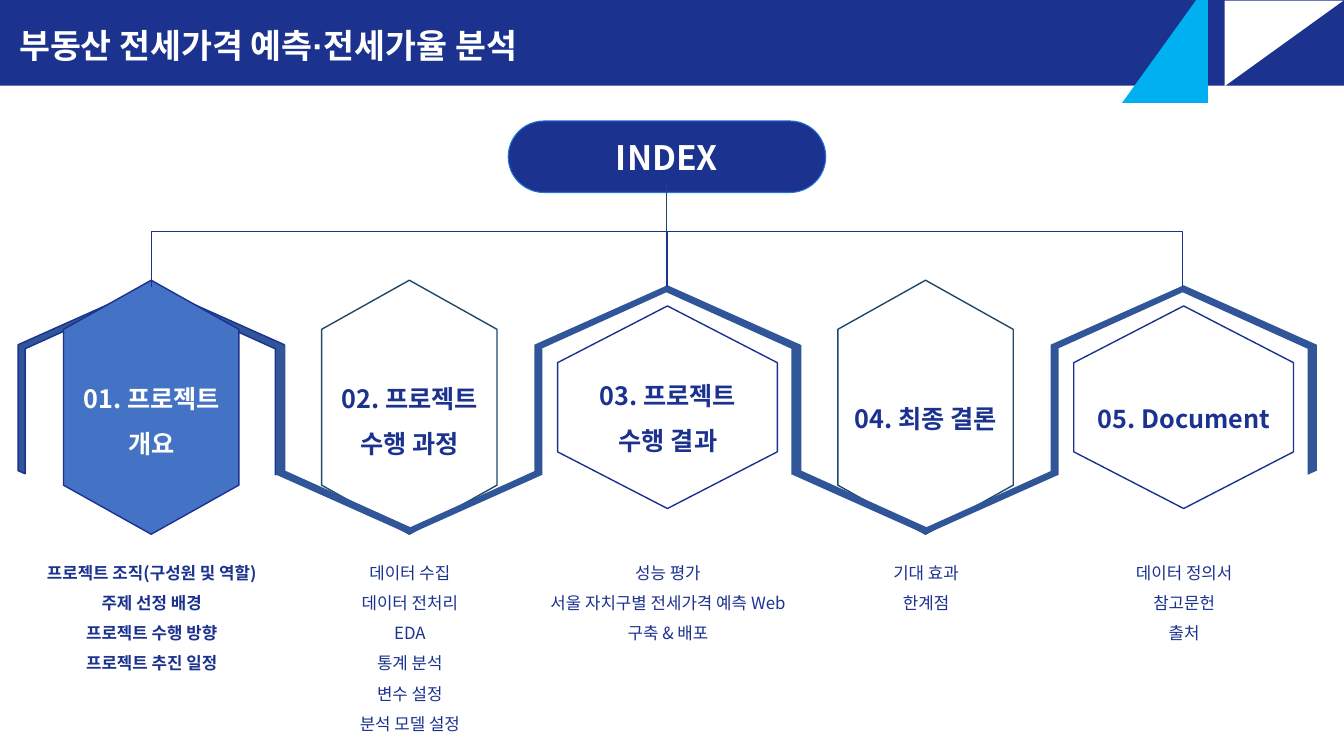
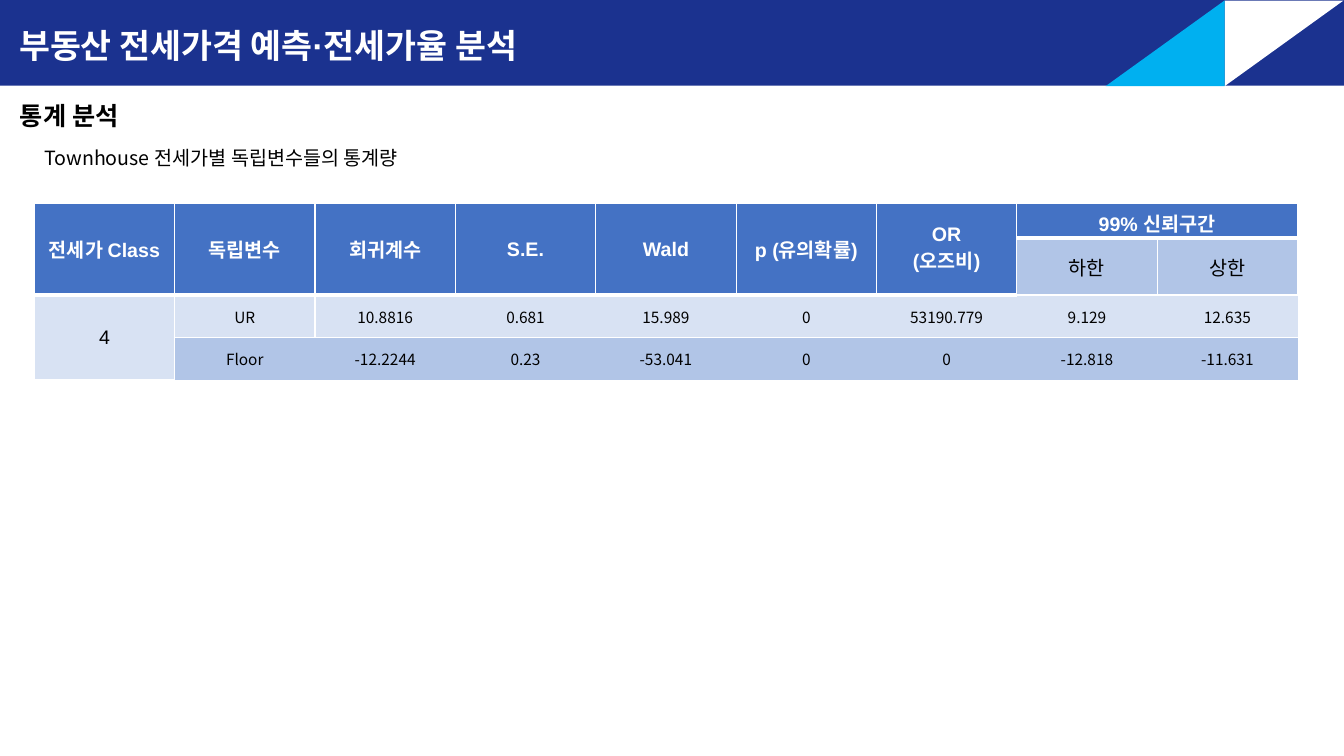
from lxml import etree
from pptx import Presentation
from pptx.dml.color import RGBColor
from pptx.enum.shapes import MSO_CONNECTOR, MSO_SHAPE
from pptx.enum.text import MSO_ANCHOR, PP_ALIGN
from pptx.oxml.ns import qn
from pptx.util import Inches, Pt

RECT, PILL = MSO_SHAPE.RECTANGLE, MSO_SHAPE.ROUNDED_RECTANGLE
WEDGE, HEX, FORK = MSO_SHAPE.RIGHT_TRIANGLE, MSO_SHAPE.HEXAGON, MSO_SHAPE.LEFT_BRACKET
STRAIGHT = MSO_CONNECTOR.STRAIGHT
LEFT, CENTER = PP_ALIGN.LEFT, PP_ALIGN.CENTER
TOP, MIDDLE = MSO_ANCHOR.TOP, MSO_ANCHOR.MIDDLE

NAVY = RGBColor(0x1B, 0x32, 0x8F)
CYAN = RGBColor(0x00, 0xB0, 0xF0)
BLUE = RGBColor(0x44, 0x72, 0xC4)
STEEL = RGBColor(0x30, 0x55, 0x98)
TEAL = RGBColor(0x21, 0x48, 0x67)
AZURE = RGBColor(0x25, 0x74, 0xDB)
MID = RGBColor(0xB1, 0xC5, 0xE7)
PALE = RGBColor(0xD8, 0xE2, 0xF3)
WHITE = RGBColor(0xFF, 0xFF, 0xFF)
BLACK = RGBColor(0x00, 0x00, 0x00)
NOTO, ARIAL = "Noto Sans CJK KR", "Arial"


def write(frame, text, size=12, color=NAVY, bold=False, font=NOTO,
          align=CENTER, gap=None, anchor=TOP):
    frame.word_wrap = True
    frame.vertical_anchor = anchor
    for i, line in enumerate(text.split("\n")):
        para = frame.add_paragraph() if i else frame.paragraphs[0]
        para.alignment = align
        if gap:
            para.line_spacing = gap
        run = para.add_run()
        run.text = line
        run.font.size, run.font.bold, run.font.name = Pt(size), bold, font
        run.font.color.rgb = color
        east = etree.SubElement(run.font._element, qn("a:ea"))
        east.set("typeface", NOTO)


def paint(shape, fill=None, line=None, width=1):
    shape.shadow.inherit = False
    if fill is None:
        shape.fill.background()
    else:
        shape.fill.solid()
        shape.fill.fore_color.rgb = fill
    if line is None:
        shape.line.fill.background()
    else:
        shape.line.color.rgb = line
        shape.line.width = Pt(width)
    return shape


deck = Presentation()
deck.slide_width, deck.slide_height = Inches(13.33), Inches(7.5)
index, stats = [deck.slides.add_slide(deck.slide_layouts[6]) for _ in range(2)]

# Shared title band with two wedges
for slide in (index, stats):
    add = slide.shapes.add_shape
    band = paint(add(RECT, 0, 0, deck.slide_width, Inches(0.85)), NAVY)
    band.text_frame.margin_left = Inches(0.19)
    write(band.text_frame, "부동산 전세가격 예측·전세가율 분석", size=24, color=WHITE,
          bold=True, font=ARIAL, align=LEFT, gap=1.5)
    for left, turn, fill in ((12.31, 90, WHITE), (11.13, 270, CYAN)):
        wedge = paint(add(WEDGE, Inches(left), Inches(-0.16), Inches(0.85), Inches(1.18)), fill)
        if slide is index and fill == CYAN:
            wedge.element.spPr.xfrm.set("flipH", "1")
        else:
            wedge.rotation = turn

# Index: five chapters on a zigzag ribbon
CHAPTERS = [
    ("01. 프로젝트\n개요", 3.6,
     "프로젝트 조직(구성원 및 역할)\n주제 선정 배경\n프로젝트 수행 방향\n프로젝트 추진 일정"),
    ("02. 프로젝트\n수행 과정", 3.6,
     "데이터 수집\n데이터 전처리\nEDA\n통계 분석\n변수 설정\n분석 모델 설정"),
    ("03. 프로젝트\n수행 결과", 3.57,
     "성능 평가\n서울 자치구별 전세가격 예측 Web 구축 & 배포"),
    ("04. 최종 결론", 3.8, "기대 효과\n한계점"),
    ("05. Document", 3.8, "데이터 정의서\n참고문헌\n출처"),
]
ROOF = [(0, 2.83), (1.32, 3.42), (1.32, 4.67), (1.23, 4.71), (1.23, 3.46),
        (-0.01, 2.9), (-1.25, 3.46), (-1.25, 4.7), (-1.32, 4.67), (-1.32, 3.42)]
shapes = index.shapes
mids = [1.5 + 2.56 * i for i in range(5)]

for i, (mid, (name, top, topics)) in enumerate(zip(mids, CHAPTERS)):
    first, down = i == 0, i % 2 == 1

    # Ribbon: a roof, or the same turned by half
    if down:
        pts = [(Inches(mid - x), Inches(8.13 - y)) for x, y in ROOF]
    else:
        pts = [(Inches(mid + x), Inches(y)) for x, y in ROOF]
    pen = shapes.build_freeform(*pts[0])
    pen.add_line_segments(pts[1:])
    ribbon = paint(pen.convert_to_shape(), STEEL, NAVY if first else None)

    # Hexagon
    wide, high = (2.52, 1.74) if first or down else (2.01, 2.18)
    cell = shapes.add_shape(HEX, Inches(mid - wide / 2), Inches(4.04 - high / 2),
                            Inches(wide), Inches(high))
    cell.adjustments[0] = 0.28
    cell.rotation = 270
    paint(cell, BLUE if first else WHITE, TEAL if down else NAVY)
    if down:
        cell.element.addnext(ribbon.element)

    # Chapter name and topics
    box = shapes.add_textbox(Inches(mid - 1.12), Inches(top), Inches(2.25), Inches(1.01))
    write(box.text_frame, name, size=18, color=WHITE if first else NAVY, bold=True, gap=1.5)
    box = shapes.add_textbox(Inches(mid - 1.27), Inches(5.43), Inches(2.55), Inches(1.92))
    write(box.text_frame, topics, bold=first, gap=1.5)

# Index: tree above the chapters
for mid in mids[1::2]:
    fork = shapes.add_shape(FORK, Inches(mid - 0.28), Inches(0.02), Inches(0.55), Inches(5.11))
    fork.adjustments[0] = 0
    fork.rotation = 90
    paint(fork, None, NAVY, 0.75)
pill = shapes.add_shape(PILL, Inches(5.04), Inches(1.2), Inches(3.15), Inches(0.71))
pill.adjustments[0] = 0.5
paint(pill, NAVY, AZURE, 0.75)
write(pill.text_frame, "INDEX", size=24, color=WHITE, bold=True, anchor=MIDDLE)
stem = shapes.add_connector(STRAIGHT, Inches(6.61), Inches(1.83), Inches(6.61), Inches(2.3))
stem.line.color.rgb, stem.line.width = TEAL, Pt(0.75)
etree.SubElement(stem.element.spPr, qn("a:effectLst"))

# Statistics: headings
box = stats.shapes.add_textbox(Inches(0.1), Inches(0.95), Inches(4.04), Inches(0.4))
write(box.text_frame, "통계 분석", size=18, color=BLACK, bold=True, align=LEFT)
box = stats.shapes.add_textbox(Inches(0.34), Inches(1.35), Inches(4.04), Inches(0.33))
box.text_frame.margin_top = box.text_frame.margin_bottom = Inches(0.1)
write(box.text_frame, "Townhouse 전세가별 독립변수들의 통계량", size=14, color=BLACK, align=LEFT)

# Statistics: table
ROWS = [
    ["전세가 Class", "독립변수", "회귀계수", "S.E.", "Wald", "p (유의확률)",
     "OR\n(오즈비)", "99% 신뢰구간", ""],
    [""] * 7 + ["하한", "상한"],
    ["4", "UR", "10.8816", "0.681", "15.989", "0", "53190.779", "9.129", "12.635"],
    ["", "Floor", "-12.2244", "0.23", "-53.041", "0", "0", "-12.818", "-11.631"],
]
frame = stats.shapes.add_table(4, 9, Inches(0.34), Inches(2.02), Inches(12.53), Inches(1.53))
grid = frame.table
grid.first_row = grid.horz_banding = False
style = frame.element.find(".//" + qn("a:tableStyleId"))
style.text = "{2D5ABB26-0587-4C30-8999-92F81FD0307C}"
for row, high in zip(grid.rows, (0.34, 0.34, 0.42, 0.42)):
    row.height = Inches(high)
for col in range(7):
    grid.cell(0, col).merge(grid.cell(1, col))
grid.cell(0, 7).merge(grid.cell(0, 8))
grid.cell(2, 0).merge(grid.cell(3, 0))

for r, row in enumerate(ROWS):
    for c, text in enumerate(row):
        cell = grid.cell(r, c)
        head = r == 0 or (r == 1 and c < 7)
        body = r > 1 and c > 0
        if head:
            fill, edges = BLUE, {"L": 1, "R": 1, "T": 1, "B": 3}
        elif not body:
            fill, edges = MID if r == 1 else PALE, {"L": 1, "R": 1, "T": 1, "B": 1}
        elif r == 2:
            fill, edges = PALE, {"L": 1, "T": 1} if c == 1 else {"T": 1}
        else:
            fill, edges = MID, {}
        props = cell._tc.get_or_add_tcPr()
        for side, width in edges.items():
            edge = etree.SubElement(props, qn("a:ln" + side), w=str(Pt(width)))
            solid = etree.SubElement(edge, qn("a:solidFill"))
            etree.SubElement(solid, qn("a:srgbClr"), val=str(WHITE))
        cell.fill.solid()
        cell.fill.fore_color.rgb = fill
        cell.vertical_anchor = MIDDLE
        if text:
            write(cell.text_frame, text, size=11 if body else 14, bold=head,
                  color=WHITE if head else BLACK, font=NOTO if body else ARIAL, anchor=None)

deck.save("out.pptx")
